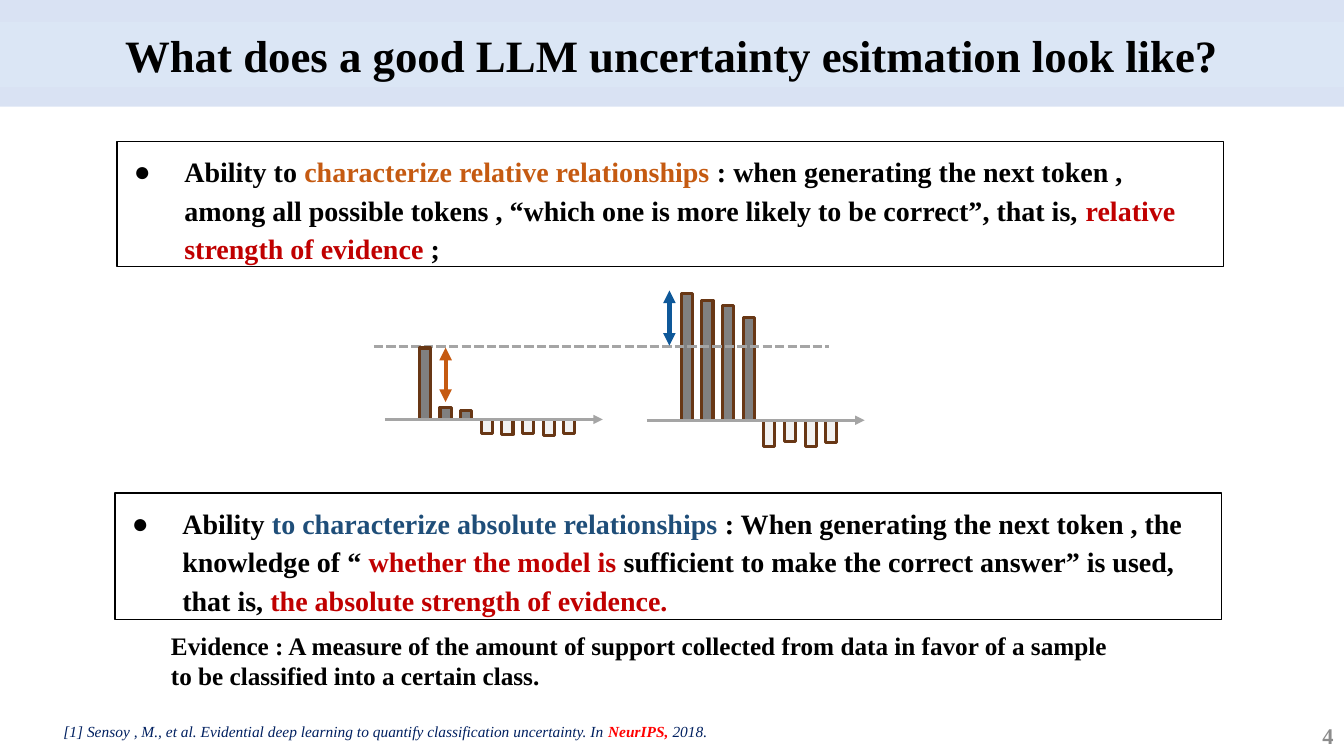
from dataclasses import dataclass

from lxml import etree
from pptx import Presentation
from pptx import util as u
from pptx.dml.color import RGBColor
from pptx.enum import dml, shapes, text
from pptx.oxml import ns

BLACK = RGBColor(0, 0, 0)
BAND_BLUE = RGBColor(0x44, 0x72, 0xC4)
TITLE_BLUE = RGBColor(0xDE, 0xEB, 0xF7)
ORANGE = RGBColor(0xC5, 0x5A, 0x11)
CRIMSON = RGBColor(0xC0, 0, 0)
RED = RGBColor(0xFF, 0, 0)
NAVY = RGBColor(0, 0x20, 0x60)
DEEP_BLUE = RGBColor(0x1F, 0x4E, 0x79)
ARROW_BLUE = RGBColor(0x0E, 0x58, 0x99)
BAR_EDGE = RGBColor(0x68, 0x37, 0x15)
BAR_GREY = RGBColor(0x80, 0x80, 0x80)
BAR_PALE = RGBColor(0xF2, 0xF2, 0xF2)
AXIS_GREY = RGBColor(0xA5, 0xA5, 0xA5)
NUMBER_GREY = RGBColor(0x8C, 0x8C, 0x8C)

FONT = "Times New Roman"
SLIDE_WIDTH, SLIDE_HEIGHT = 33.87, 19.05
BAR_WIDTH, BAR_PITCH = 0.28, 0.52
AXIS_LEAD, AXIS_LENGTH = 0.87, 5.49


@dataclass
class Area:
    left: float
    top: float
    width: float
    height: float

    def lengths(self) -> list[u.Cm]:
        return [u.Cm(v) for v in (self.left, self.top, self.width, self.height)]


@dataclass
class Span:
    words: str
    colour: RGBColor = BLACK
    bold: bool = True
    italic: bool = False


@dataclass
class Ability:
    area: Area
    frame: Area
    spans: list[Span]


@dataclass
class Histogram:
    """Bars rising above (positive) or hanging below (negative) an axis."""
    first_bar: float
    axis: float
    heights: list[float]


@dataclass
class Stroke:
    start: tuple[float, float]
    end: tuple[float, float]
    colour: RGBColor
    width: float
    heads: tuple[str, ...] = ()


ABILITIES = [
    Ability(Area(3.12, 3.66, 27.33, 3.1), Area(2.95, 3.56, 27.89, 3.15), [
        Span("Ability to "),
        Span("characterize relative relationships ", ORANGE),
        Span(": when generating the next token , among all possible tokens , "
             "“which one is more likely to be correct”, that is, "),
        Span("relative strength of evidence ", CRIMSON),
        Span(";")]),
    Ability(Area(3.07, 12.52, 27.33, 3.1), Area(2.9, 12.42, 27.89, 3.2), [
        Span("Ability "),
        Span("to characterize absolute relationships ", DEEP_BLUE),
        Span(": When generating the next token , the knowledge of “ "),
        Span("whether the model is ", CRIMSON),
        Span("sufficient to make the correct answer” is used, that is, "),
        Span("the absolute strength of evidence.", CRIMSON)]),
]
LOW_EVIDENCE = Histogram(
    10.57, 10.57, [1.8, 0.3, 0.23, -0.36, -0.38, -0.36, -0.41, -0.36])
HIGH_EVIDENCE = Histogram(
    17.17, 10.59, [3.2, 3.02, 2.9, 2.59, -0.66, -0.53, -0.66, -0.56])
THRESHOLD = Stroke((9.42, 8.74), (20.88, 8.74), AXIS_GREY, 2.25)
GAPS = [
    Stroke((11.23, 8.76), (11.23, 10.13), ORANGE, 3, ("headEnd", "tailEnd")),
    Stroke((16.87, 7.32), (16.87, 8.71), ARROW_BLUE, 3, ("headEnd", "tailEnd")),
]


def place(box, area: Area) -> None:
    box.left, box.top, box.width, box.height = area.lengths()


def fill_solid(box, colour: RGBColor, opacity: int = 100) -> None:
    box.fill.solid()
    box.fill.fore_color.rgb = colour
    if opacity < 100:
        tone = box.fill._xPr.find(".//" + ns.qn("a:srgbClr"))
        etree.SubElement(tone, ns.qn("a:alpha"), val=str(opacity * 1000))


def add_rectangle(canvas, area: Area, edge: RGBColor | None = None, width: float = 1):
    box = canvas.add_shape(shapes.MSO_SHAPE.RECTANGLE, *area.lengths())
    box.shadow.inherit = False
    box.fill.background()
    if edge is None:
        box.line.fill.background()
    else:
        box.line.color.rgb = edge
        box.line.width = u.Pt(width)
    return box


def write(box, spans: list[Span], size: float, anchor=text.MSO_ANCHOR.TOP, **format_values):
    """Fill the box with one paragraph; format_values are paragraph settings."""
    frame = box.text_frame
    frame_values = {"word_wrap": True, "auto_size": text.MSO_AUTO_SIZE.NONE,
                    "vertical_anchor": anchor}
    for name, value in frame_values.items():
        setattr(frame, name, value)
    para = frame.paragraphs[0]
    for name, value in format_values.items():
        setattr(para, name, value)
    for part in spans:
        span = para.add_run()
        span.text = part.words
        font_values = {"name": FONT, "size": u.Pt(size),
                       "bold": part.bold, "italic": part.italic}
        for name, value in font_values.items():
            setattr(span.font, name, value)
        span.font.color.rgb = part.colour
    return para


def add_stroke(canvas, stroke: Stroke):
    ends = [u.Cm(v) for v in stroke.start + stroke.end]
    line = canvas.add_connector(shapes.MSO_CONNECTOR.STRAIGHT, *ends)
    line.line.color.rgb = stroke.colour
    line.line.width = u.Pt(stroke.width)
    for head in stroke.heads:
        etree.SubElement(line.line._get_or_add_ln(), ns.qn("a:" + head), type="triangle")
    etree.SubElement(line.element.spPr, ns.qn("a:effectLst"))
    return line


def add_histogram(page, chart: Histogram) -> None:
    canvas = page.shapes.add_group_shape().shapes
    for index, height in enumerate(chart.heights):
        area = Area(chart.first_bar + index * BAR_PITCH,
                    chart.axis - max(height, 0), BAR_WIDTH, abs(height))
        bar = add_rectangle(canvas, area, BAR_EDGE, 2.25)
        fill_solid(bar, BAR_GREY if height > 0 else BAR_PALE)
    left = chart.first_bar - AXIS_LEAD
    add_stroke(canvas, Stroke((left, chart.axis), (left + AXIS_LENGTH, chart.axis),
                              AXIS_GREY, 2.25, ("tailEnd",)))


def add_header(page) -> None:
    title = page.shapes.title
    band = add_rectangle(page.shapes, Area(0, 0, SLIDE_WIDTH, 2.69))
    fill_solid(band, BAND_BLUE, 20)
    title.element.addprevious(band.element)
    place(title, Area(0, 0.56, SLIDE_WIDTH, 1.63))
    fill_solid(title, TITLE_BLUE, 50)
    write(title, [Span("What does a good LLM uncertainty esitmation look like?")], 32,
          text.MSO_ANCHOR.MIDDLE, alignment=text.PP_ALIGN.CENTER)


def add_ability(page, body, ability: Ability) -> None:
    place(body, ability.area)
    para = write(body, ability.spans, 20, line_spacing=1.14, space_before=u.Pt(0))
    settings = para._p.get_or_add_pPr()
    settings.set("marL", str(u.Cm(1.27)))
    settings.set("indent", str(-u.Cm(1.27)))
    etree.SubElement(settings, ns.qn("a:buChar"), char="●")
    add_rectangle(page.shapes, ability.frame, BLACK)


def add_note(page, area: Area, spans: list[Span], size: float, **format_values) -> None:
    write(page.shapes.add_textbox(*area.lengths()), spans, size, **format_values)


def main() -> None:
    deck = Presentation()
    deck.slide_width, deck.slide_height = u.Cm(SLIDE_WIDTH), u.Cm(SLIDE_HEIGHT)
    page = deck.slides.add_slide(deck.slide_layouts.get_by_name("Two Content"))
    add_header(page)
    for index, ability in enumerate(ABILITIES, start=1):
        add_ability(page, page.placeholders[index], ability)
    add_histogram(page, HIGH_EVIDENCE)
    add_stroke(page.shapes, THRESHOLD).line.dash_style = dml.MSO_LINE.SQUARE_DOT
    add_histogram(page, LOW_EVIDENCE)
    for gap in GAPS:
        add_stroke(page.shapes, gap)
    add_note(page, Area(4.06, 15.75, 24.31, 1.8), [
        Span("Evidence : A measure of the amount of support collected from data in favor "
             "of a sample to be classified into a certain class.")], 18)
    add_note(page, Area(1.35, 17.83, 20.35, 0.89), [
        Span("[1] Sensoy , M., et al. Evidential deep learning to quantify classification "
             "uncertainty. In ", NAVY, bold=False, italic=True),
        Span("NeurIPS, ", RED, italic=True),
        Span("2018.", NAVY, bold=False, italic=True)], 11, line_spacing=1.5)
    add_note(page, Area(26.24, 18.03, 7.62, 1.02), [Span("4", NUMBER_GREY)], 16,
             anchor=text.MSO_ANCHOR.MIDDLE, alignment=text.PP_ALIGN.RIGHT)
    deck.save("out.pptx")


if __name__ == "__main__":
    main()
